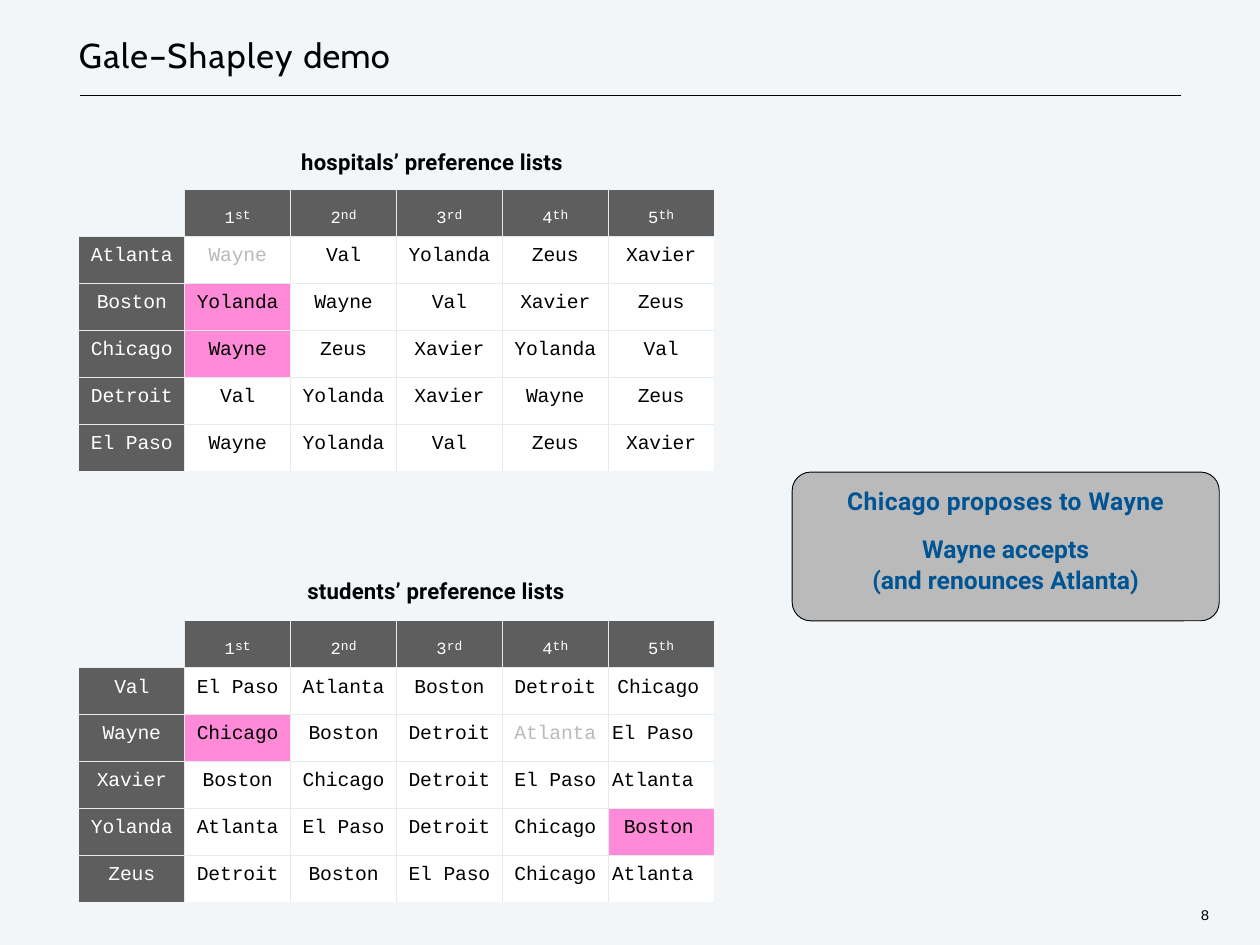
from lxml.etree import SubElement
from pptx import Presentation
from pptx.dml.color import RGBColor
from pptx.enum.shapes import MSO_CONNECTOR as Connector, MSO_SHAPE as Shape
from pptx.enum.text import MSO_ANCHOR as Anchor, MSO_AUTO_SIZE as AutoSize, PP_ALIGN as Align
from pptx.oxml.ns import qn
from pptx.util import Inches, Pt

BLACK = RGBColor(0x00, 0x00, 0x00)
WHITE = RGBColor(0xFF, 0xFF, 0xFF)
PALE = RGBColor(0xF2, 0xF6, 0xF9)
DARK = RGBColor(0x5E, 0x5E, 0x5E)
SILVER = RGBColor(0xBA, 0xBA, 0xBA)
PINK = RGBColor(0xFF, 0x8A, 0xD8)
BLUE = RGBColor(0x00, 0x54, 0x93)
RULE = RGBColor(0xE7, 0xEA, 0xEB)

TITLE_FONT, BODY_FONT, TABLE_FONT = "Cabin", "Roboto", "Courier New"
ORDINALS = ["st", "nd", "rd", "th", "th"]
COLUMN_WIDTH, ROW_HEIGHT = 1.195, 0.53

HOSPITALS = {
    "Atlanta": ["Wayne", "Val", "Yolanda", "Zeus", "Xavier"],
    "Boston": ["Yolanda", "Wayne", "Val", "Xavier", "Zeus"],
    "Chicago": ["Wayne", "Zeus", "Xavier", "Yolanda", "Val"],
    "Detroit": ["Val", "Yolanda", "Xavier", "Wayne", "Zeus"],
    "El Paso": ["Wayne", "Yolanda", "Val", "Zeus", "Xavier"],
}
STUDENTS = {
    "Val": ["El Paso", "Atlanta", "Boston", "Detroit", "Chicago"],
    "Wayne": ["Chicago", "Boston", "Detroit", "Atlanta", "El Paso"],
    "Xavier": ["Boston", "Chicago", "Detroit", "El Paso", "Atlanta"],
    "Yolanda": ["Atlanta", "El Paso", "Detroit", "Chicago", "Boston"],
    "Zeus": ["Detroit", "Boston", "El Paso", "Chicago", "Atlanta"],
}
MATCHES = {("Boston", "Yolanda"), ("Chicago", "Wayne")}
REJECTIONS = {("Atlanta", "Wayne")}


def write(para, text, size=16, font=TABLE_FONT, color=BLACK, bold=False, spacing=0, baseline=0):
    span = para.add_run()
    span.text = text
    span.font.size = Pt(size)
    span.font.name = font
    span.font.color.rgb = color
    span.font.bold = bold
    properties = span.font._element
    properties.set("spc", str(round(spacing * 100)))
    if baseline:
        properties.set("baseline", str(baseline * 1000))


def set_frame(frame, left=0, top=0):
    frame.word_wrap = True
    frame.auto_size = AutoSize.NONE
    frame.vertical_anchor = Anchor.TOP
    frame.margin_left, frame.margin_top = Inches(left), Inches(top)
    frame.margin_right = frame.margin_bottom = 0


def add_label(page, text, left, top, width, height, **style):
    box = page.shapes.add_textbox(Inches(left), Inches(top), Inches(width), Inches(height))
    set_frame(box.text_frame, left=0.01, top=0.01)
    write(box.text_frame.paragraphs[0], text, **style)


def set_title(page):
    title = page.shapes.title
    title.left, title.top, title.width, title.height = map(Inches, (0.88, 0.38, 5, 0.49))
    set_frame(title.text_frame, left=0.01, top=0.01)
    para = title.text_frame.paragraphs[0]
    para.alignment = Align.LEFT
    para.line_spacing = 1.0
    para.space_before = Pt(0)
    write(para, "Gale–Shapley ", size=28, font=TITLE_FONT, spacing=1.1)
    write(para, "demo", size=28, font=TITLE_FONT, spacing=0.2)


def add_title_rule(page):
    rule = page.shapes.add_connector(
        Connector.STRAIGHT, Inches(0.9), Inches(1.08), Inches(13.33), Inches(1.08))
    rule.line.color.rgb = BLACK
    rule.line.width = Pt(1)
    SubElement(rule._element.spPr, qn("a:effectLst"))


def set_borders(cell, row, column, last):
    inner = {"lnL": column > 0, "lnR": column < last, "lnT": row > 0, "lnB": row < last}
    for side, visible in inner.items():
        border = SubElement(cell._tc.get_or_add_tcPr(), qn(f"a:{side}"), w=str(Pt(1)))
        if visible:
            fill = SubElement(border, qn("a:solidFill"))
            SubElement(fill, qn("a:srgbClr"), val=str(RULE))
        else:
            SubElement(border, qn("a:noFill"))


def style_cell(cell, fill, top=0.1, right=0):
    cell.fill.solid()
    cell.fill.fore_color.rgb = fill
    cell.margin_left = cell.margin_bottom = 0
    cell.margin_top, cell.margin_right = Inches(top), Inches(right)
    para = cell.text_frame.paragraphs[0]
    para.alignment = Align.RIGHT if right else Align.CENTER
    return para


def add_preferences(page, top, lists, pair, last_aligned_right=False):
    count = len(lists) + 1
    table = page.shapes.add_table(
        count, count, Inches(0.89), Inches(top),
        Inches(COLUMN_WIDTH * count), Inches(ROW_HEIGHT * count)).table
    table.first_row = table.horz_banding = False
    for row in range(count):
        table.rows[row].height = Inches(ROW_HEIGHT)
        table.columns[row].width = Inches(COLUMN_WIDTH)
        for column in range(count):
            set_borders(table.cell(row, column), row, column, count - 1)

    style_cell(table.cell(0, 0), PALE)
    for rank, ordinal in enumerate(ORDINALS, 1):
        para = style_cell(table.cell(0, rank), DARK, top=0.06)
        write(para, str(rank), size=24, color=WHITE, spacing=0.1, baseline=-14)
        write(para, ordinal, size=10.5, color=WHITE, spacing=0.1)

    for row, (chooser, choices) in enumerate(lists.items(), 1):
        write(style_cell(table.cell(row, 0), DARK), chooser, color=WHITE, spacing=-0.1)
        for rank, choice in enumerate(choices, 1):
            key = pair(chooser, choice)
            right = 0
            if last_aligned_right and rank == len(choices):
                right = 0.17 if choice == "Chicago" else 0.23
            para = style_cell(table.cell(row, rank), PINK if key in MATCHES else WHITE, right=right)
            write(para, choice, color=SILVER if key in REJECTIONS else BLACK, spacing=-0.1)


def add_callout(page):
    box = page.shapes.add_shape(
        Shape.ROUNDED_RECTANGLE, Inches(8.94), Inches(5.33), Inches(4.82), Inches(1.68))
    box.adjustments[0] = 0.125
    box.shadow.inherit = False
    box.fill.solid()
    box.fill.fore_color.rgb = SILVER
    box.line.color.rgb = BLACK
    box.line.width = Pt(0.75)
    frame = box.text_frame
    set_frame(frame, top=0.1)
    lines = [("Chicago proposes to Wayne", 0, 0.3), ("Wayne accepts", 14.5, 0),
             ("(and renounces Atlanta)", 1, 0)]
    for index, (text, gap, spacing) in enumerate(lines):
        para = frame.add_paragraph() if index else frame.paragraphs[0]
        para.alignment = Align.CENTER
        para.space_before = Pt(gap)
        write(para, text, size=20, font=BODY_FONT, color=BLUE, bold=True, spacing=spacing)


def main():
    deck = Presentation()
    deck.slide_width, deck.slide_height = Inches(14.22), Inches(10.67)
    page = deck.slides.add_slide(deck.slide_layouts[5])
    page.background.fill.solid()
    page.background.fill.fore_color.rgb = PALE

    set_title(page)
    add_title_rule(page)
    add_preferences(page, 2.14, HOSPITALS, lambda hospital, student: (hospital, student))
    add_preferences(page, 7.01, STUDENTS, lambda student, hospital: (hospital, student),
                    last_aligned_right=True)
    add_callout(page)
    heading = dict(size=18, font=BODY_FONT, bold=True, spacing=0.15)
    add_label(page, "hospitals’ preference lists", 3.39, 1.67, 3.36, 0.33, **heading)
    add_label(page, "students’ preference lists", 3.46, 6.51, 3.31, 0.33, **heading)
    add_label(page, "8", 13.54, 10.22, 0.26, 0.23, size=12)
    deck.save("out.pptx")


if __name__ == "__main__":
    main()
